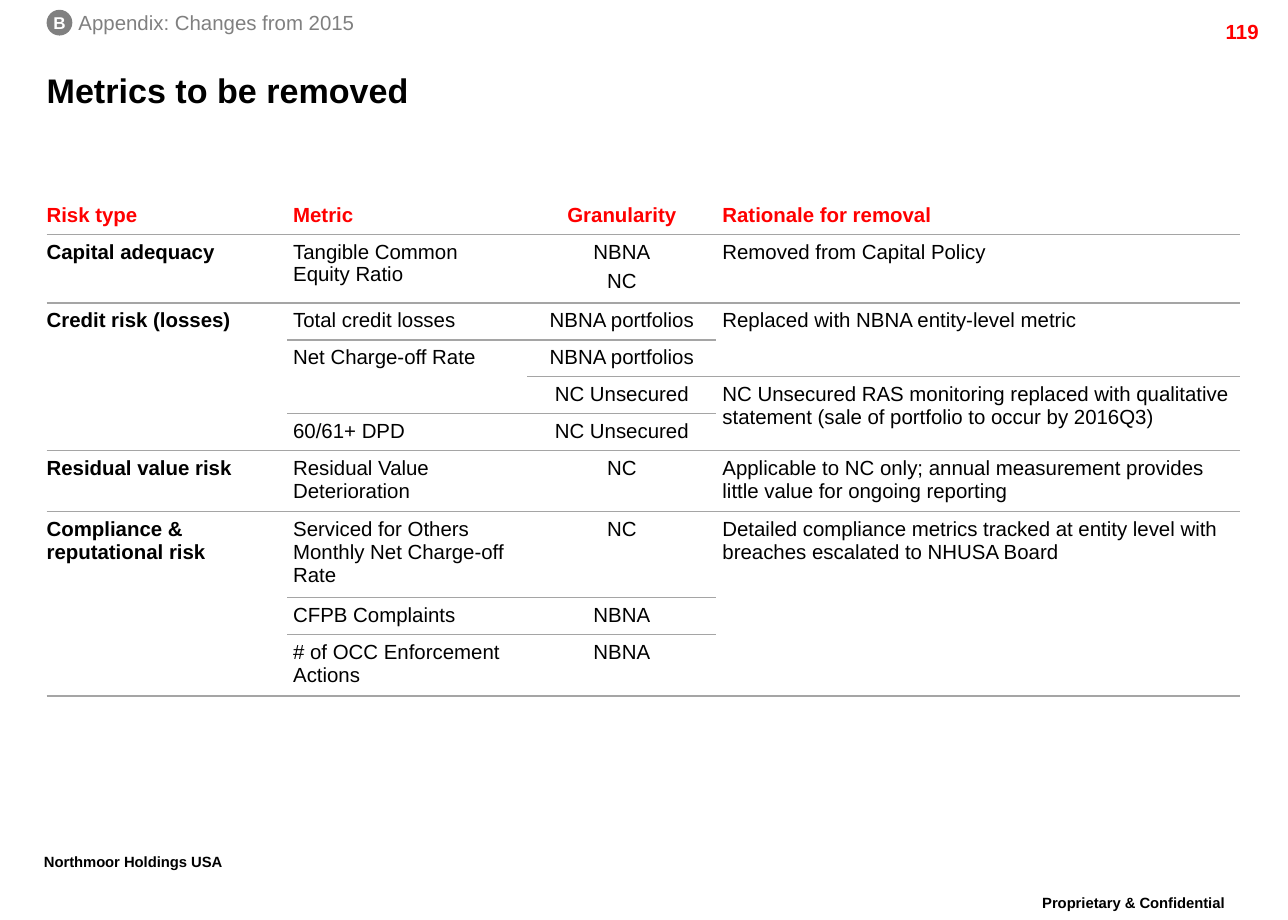
from pptx import Presentation
from pptx.dml.color import RGBColor
from pptx.enum.shapes import MSO_SHAPE
from pptx.enum.text import MSO_ANCHOR, PP_ALIGN
from pptx.oxml import parse_xml
from pptx.oxml.ns import nsdecls
from pptx.util import Inches, Pt

# Content: one (row, column, rows spanned, text) per table cell
HEADS = ["Risk type", "Metric", "Granularity", "Rationale for removal"]
CELLS = [(0, col, 1, head) for col, head in enumerate(HEADS)] + [
    (1, 0, 1, "Capital adequacy"),
    (2, 0, 4, "Credit risk (losses)"),
    (6, 0, 1, "Residual value risk"),
    (7, 0, 3, "Compliance & reputational risk"),
    (1, 1, 1, "Tangible Common \vEquity Ratio"),
    (2, 1, 1, "Total credit losses"),
    (3, 1, 2, "Net Charge-off Rate"),
    (5, 1, 1, "60/61+ DPD"),
    (6, 1, 1, "Residual Value Deterioration"),
    (7, 1, 1, "Serviced for Others Monthly Net Charge-off Rate"),
    (8, 1, 1, "CFPB Complaints"),
    (9, 1, 1, "# of OCC Enforcement Actions"),
    (1, 2, 1, "NBNA\nNC"),
    (2, 2, 1, "NBNA portfolios"),
    (3, 2, 1, "NBNA portfolios"),
    (4, 2, 1, "NC Unsecured"),
    (5, 2, 1, "NC Unsecured"),
    (6, 2, 1, "NC"),
    (7, 2, 1, "NC"),
    (8, 2, 1, "NBNA"),
    (9, 2, 1, "NBNA"),
    (1, 3, 1, "Removed from Capital Policy"),
    (2, 3, 2, "Replaced with NBNA entity-level metric"),
    (4, 3, 2, "NC Unsecured RAS monitoring replaced with qualitative "
              "statement (sale of portfolio to occur by 2016Q3)"),
    (6, 3, 1, "Applicable to NC only; annual measurement provides "
              "little value for ongoing reporting"),
    (7, 3, 3, "Detailed compliance metrics tracked at entity level with "
              "breaches escalated to NHUSA Board"),
]
WIDTHS = [1.96, 1.96, 1.54, 4.27]
HEIGHTS = [0.3, 0.56, 0.3, 0.3, 0.3, 0.3, 0.5, 0.7, 0.3, 0.5]
FOOTERS = [
    ("Northmoor Holdings USA", 0.26, 6.91, PP_ALIGN.LEFT),
    ("Proprietary & Confidential", 8.15, 7.25, PP_ALIGN.CENTER),
]
RED, BLACK, GREY, RULE, WHITE = "FF0000", "000000", "808080", "A5A5A5", "FFFFFF"
LEFT, TOP, PAD = 0.38, 1.61, 0.05


def tint(code):
    return RGBColor.from_string(code)


def style(para, size, code, bold=False, align=PP_ALIGN.LEFT):
    para.alignment = align
    font = para.font
    font.name, font.size, font.bold = "Arial", Pt(size), bold
    font.color.rgb = tint(code)


def inset(frame, side, top):
    frame.margin_left = frame.margin_right = Inches(side)
    frame.margin_top = frame.margin_bottom = Inches(top)


def label(text, box, size, code, bold=False, align=PP_ALIGN.LEFT,
          pad=(0, 0), wrap=True):
    frame = slide.shapes.add_textbox(*map(Inches, box)).text_frame
    frame.word_wrap = wrap
    inset(frame, *pad)
    frame.text = text
    style(frame.paragraphs[0], size, code, bold, align)
    return frame


def rule(cell):
    cell._tc.get_or_add_tcPr().insert(0, parse_xml(
        f'<a:lnB {nsdecls("a")} w="12700"><a:solidFill>'
        f'<a:srgbClr val="{RULE}"/></a:solidFill></a:lnB>'))


deck = Presentation()
deck.slide_width, deck.slide_height = Inches(10.5), Inches(7.5)
slide = deck.slides.add_slide(deck.slide_layouts[6])

# Footers, raised text
for text, left, top, align in FOOTERS:
    frame = label(text, (left, top, 2.18, 0.35), 15, BLACK, True, align, (0.1, 0.05))
    para = frame.paragraphs[0]
    para.line_spacing = 0.86
    para.runs[0]._r.get_or_add_rPr().set("baseline", "30000")

# Page number, title and section tag
label("119", (9.36, 0.11, 1, 0.24), 12, RED, True, PP_ALIGN.RIGHT, (0.1, 0.05))
title = label("Metrics to be removed", (LEFT, 0.49, 9.48, 0.48), 20, BLACK, True)
title.vertical_anchor = MSO_ANCHOR.MIDDLE
label("Appendix: Changes from 2015", (0.64, 0.08, 2.26, 0.2), 12, GREY, wrap=False)

badge = slide.shapes.add_shape(
    MSO_SHAPE.OVAL, *map(Inches, (LEFT, 0.08, 0.21, 0.21)))
badge.shadow.inherit = False
badge.fill.solid()
badge.fill.fore_color.rgb = tint(GREY)
badge.line.fill.background()
frame = badge.text_frame
frame.word_wrap = False
frame.vertical_anchor = MSO_ANCHOR.MIDDLE
inset(frame, 0, 0)
frame.text = "B"
style(frame.paragraphs[0], 10, WHITE, True, PP_ALIGN.CENTER)

# Table without banding or grid
table = slide.shapes.add_table(
    len(HEIGHTS), len(WIDTHS), Inches(LEFT), Inches(TOP),
    Inches(sum(WIDTHS)), Inches(sum(HEIGHTS))).table
table.first_row = table.horz_banding = False
table._tbl.tblPr[0].text = "{2D5ABB26-0587-4C30-8999-92F81FD0307C}"
for part, width in zip(table.columns, WIDTHS):
    part.width = Inches(width)
for part, height in zip(table.rows, HEIGHTS):
    part.height = Inches(height)

for row, col, span, text in CELLS:
    cell, last = table.cell(row, col), table.cell(row + span - 1, col)
    if span > 1:
        cell.merge(last)
        rule(last)
    rule(cell)
    cell.fill.background()
    inset(cell, PAD, PAD)
    if col == 0:
        cell.margin_left = 0
    cell.text = text
    for n, para in enumerate(cell.text_frame.paragraphs):
        style(para, 12, BLACK if row else RED, row == 0 or col == 0,
              PP_ALIGN.CENTER if col == 2 else PP_ALIGN.LEFT)
        para.space_before = Pt(4 if n else 0)

deck.save("out.pptx")
